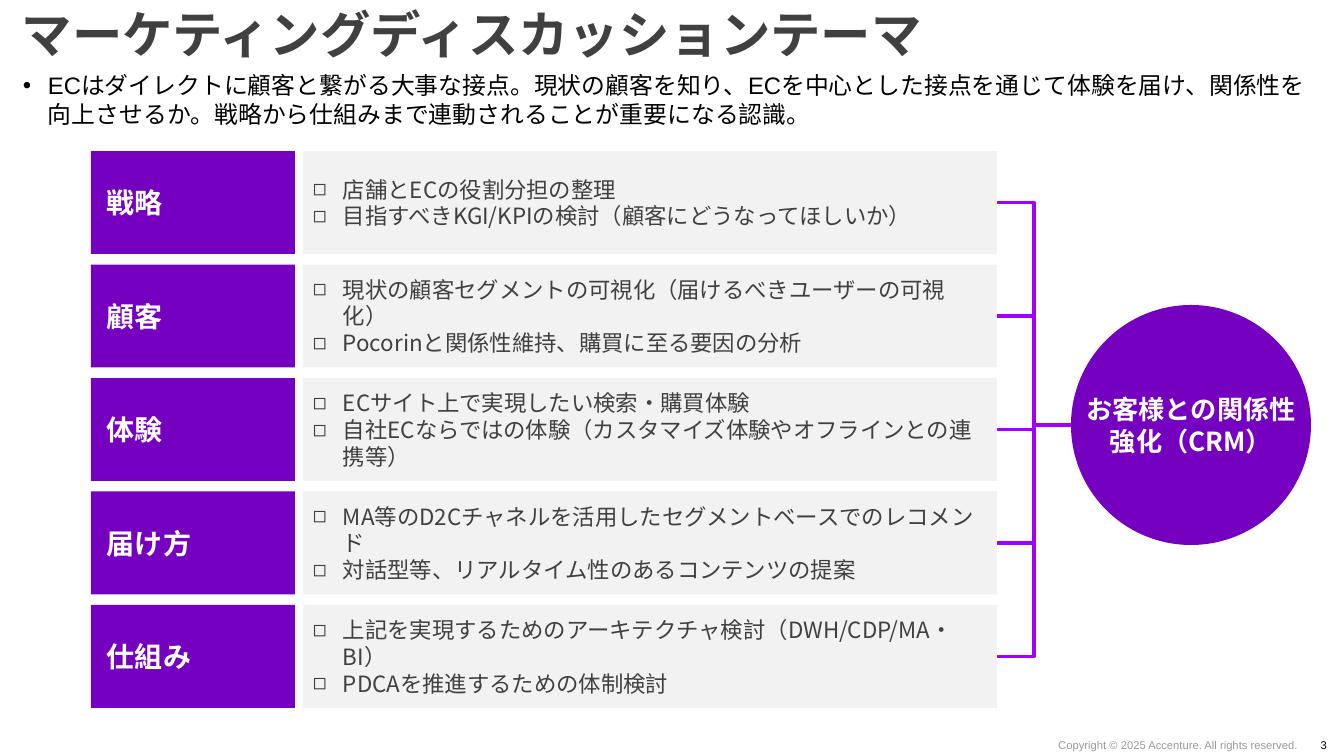
from lxml import etree
from pptx import Presentation
from pptx.dml.color import RGBColor
from pptx.enum.shapes import MSO_CONNECTOR, MSO_SHAPE
from pptx.enum.text import MSO_ANCHOR, PP_ALIGN
from pptx.oxml.ns import qn
from pptx.util import Emu, Pt

EMU_PER_PX = 914400 / 100.8
SANS, LATIN = "Noto Sans CJK JP", "Arial"
PURPLE, BRIGHT_PURPLE, LIGHT_GREY = "7500C0", "A100FF", "F2F2F2"
DARK_GREY, MID_GREY, WHITE, BLACK = "404040", "999999", "FFFFFF", "000000"

THEMES = [
    ("戦略", ["店舗とECの役割分担の整理",
            "目指すべきKGI/KPIの検討（顧客にどうなってほしいか）"]),
    ("顧客", ["現状の顧客セグメントの可視化（届けるべきユーザーの可視化）",
            "Pocorinと関係性維持、購買に至る要因の分析"]),
    ("体験", ["ECサイト上で実現したい検索・購買体験",
            "自社ECならではの体験（カスタマイズ体験やオフラインとの連携等）"]),
    ("届け方", ["MA等のD2Cチャネルを活用したセグメントベースでのレコメンド",
             "対話型等、リアルタイム性のあるコンテンツの提案"]),
    ("仕組み", ["上記を実現するためのアーキテクチャ検討（DWH/CDP/MA・BI）",
             "PDCAを推進するための体制検討"]),
]


def px(value):
    return Emu(round(value * EMU_PER_PX))


def color(value):
    return RGBColor.from_string(value)


def set_bullet(paragraph, character, indent):
    properties = paragraph._p.get_or_add_pPr()
    properties.set("marL", str(px(indent)))
    properties.set("indent", str(-px(indent)))
    etree.SubElement(properties, qn("a:buFont")).set("typeface", LATIN)
    etree.SubElement(properties, qn("a:buChar")).set("char", character)


def write_text(shape, lines, size, fill, font=SANS, bold=False, align=PP_ALIGN.LEFT,
               anchor=MSO_ANCHOR.TOP, insets=(0, 0, 0, 0), wrap=True,
               bullet=None, indent=0, line_spacing=None):
    frame = shape.text_frame
    frame.word_wrap = wrap
    frame.vertical_anchor = anchor
    (frame.margin_left, frame.margin_top,
     frame.margin_right, frame.margin_bottom) = map(px, insets)
    for index, line in enumerate(lines):
        paragraph = frame.paragraphs[0] if index == 0 else frame.add_paragraph()
        paragraph.text = line
        if bullet:
            set_bullet(paragraph, bullet, indent)
        paragraph.alignment = align
        if line_spacing:
            paragraph.line_spacing = line_spacing
        for run in paragraph.runs:
            run.font.size = Pt(size)
            run.font.bold = bold
            run.font.name = font
            run.font.color.rgb = color(fill)
            if font == SANS:
                east_asian = etree.SubElement(run._r.get_or_add_rPr(), qn("a:ea"))
                east_asian.set("typeface", font)


def add_filled_shape(slide, kind, left, top, width, height, fill):
    shape = slide.shapes.add_shape(kind, px(left), px(top), px(width), px(height))
    shape.shadow.inherit = False
    shape.fill.solid()
    shape.fill.fore_color.rgb = color(fill)
    shape.line.fill.background()
    return shape


def add_text_box(slide, left, top, width, height, lines, size, fill, **text_format):
    box = slide.shapes.add_textbox(px(left), px(top), px(width), px(height))
    write_text(box, lines, size, fill, **text_format)


def add_heading(slide, left, top, width):
    title = slide.shapes.title
    title.left, title.top, title.width, title.height = map(px, (left, top, width, 52))
    write_text(title, ["マーケティングディスカッションテーマ"], 36, DARK_GREY,
               bold=True, anchor=MSO_ANCHOR.MIDDLE, line_spacing=0.8)
    message = ("ECはダイレクトに顧客と繋がる大事な接点。現状の顧客を知り、"
               "ECを中心とした接点を通じて体験を届け、関係性を向上させるか。"
               "戦略から仕組みまで連動されることが重要になる認識。")
    add_text_box(slide, left + 1, top + 58, width - 2, 31, [message], 17, BLACK,
                 font=LATIN, bullet="•", indent=25)


def add_theme_rows(slide, left, top, width, height):
    """Draw the theme rows and return the middle height of each."""
    row_height, label_width, column_gap = 103, 204, 8
    pitch = (height - row_height) / (len(THEMES) - 1)
    detail_left = left + label_width + column_gap
    middles = []
    for index, (name, points) in enumerate(THEMES):
        row_top = top + index * pitch
        label = add_filled_shape(slide, MSO_SHAPE.RECTANGLE, left, row_top,
                                 label_width, row_height, PURPLE)
        write_text(label, [name], 20, WHITE, bold=True,
                   anchor=MSO_ANCHOR.MIDDLE, insets=(16, 10, 10, 10))
        detail = add_filled_shape(slide, MSO_SHAPE.RECTANGLE, detail_left, row_top,
                                  left + width - detail_left, row_height, LIGHT_GREY)
        write_text(detail, points, 16, DARK_GREY, anchor=MSO_ANCHOR.MIDDLE,
                   insets=(10, 10, 10, 10), bullet="◻", indent=30)
        middles.append(row_top + row_height / 2)
    return middles


def add_goal(slide, left, top, diameter, rows_right, row_middles):
    # Bracket from the circle to every row
    for middle in row_middles:
        connector = slide.shapes.add_connector(
            MSO_CONNECTOR.ELBOW, px(left), px(top + diameter / 2),
            px(rows_right), px(middle))
        connector.line.color.rgb = color(BRIGHT_PURPLE)
        connector.line.width = Pt(2.25)
        etree.SubElement(connector._element.spPr, qn("a:effectLst"))
    # Goal circle
    circle = add_filled_shape(slide, MSO_SHAPE.OVAL, left, top, diameter, diameter, PURPLE)
    write_text(circle, ["お客様との関係性\v強化（CRM）"], 18.7, WHITE, bold=True,
               align=PP_ALIGN.CENTER, anchor=MSO_ANCHOR.MIDDLE,
               insets=(10, 7, 10, 7), wrap=False)


def add_footer(slide, top, right):
    # Copyright line and page number
    for box_right, width, text, fill in [
            (right - 29, 350, "Copyright © 2025 Accenture. All rights reserved.", MID_GREY),
            (right, 27, "3", BLACK)]:
        add_text_box(slide, box_right - width, top, width, 14, [text], 8, fill,
                     font=LATIN, align=PP_ALIGN.RIGHT)


def main():
    presentation = Presentation()
    presentation.slide_width, presentation.slide_height = px(1344), px(756)
    slide = presentation.slides.add_slide(presentation.slide_layouts[5])
    add_heading(slide, 22, 13, 1290)
    row_middles = add_theme_rows(slide, 91, 151, 906, 557)
    add_goal(slide, 1071, 305, 240, 997, row_middles)
    add_footer(slide, 738, 1327)
    presentation.save("out.pptx")


if __name__ == "__main__":
    main()
